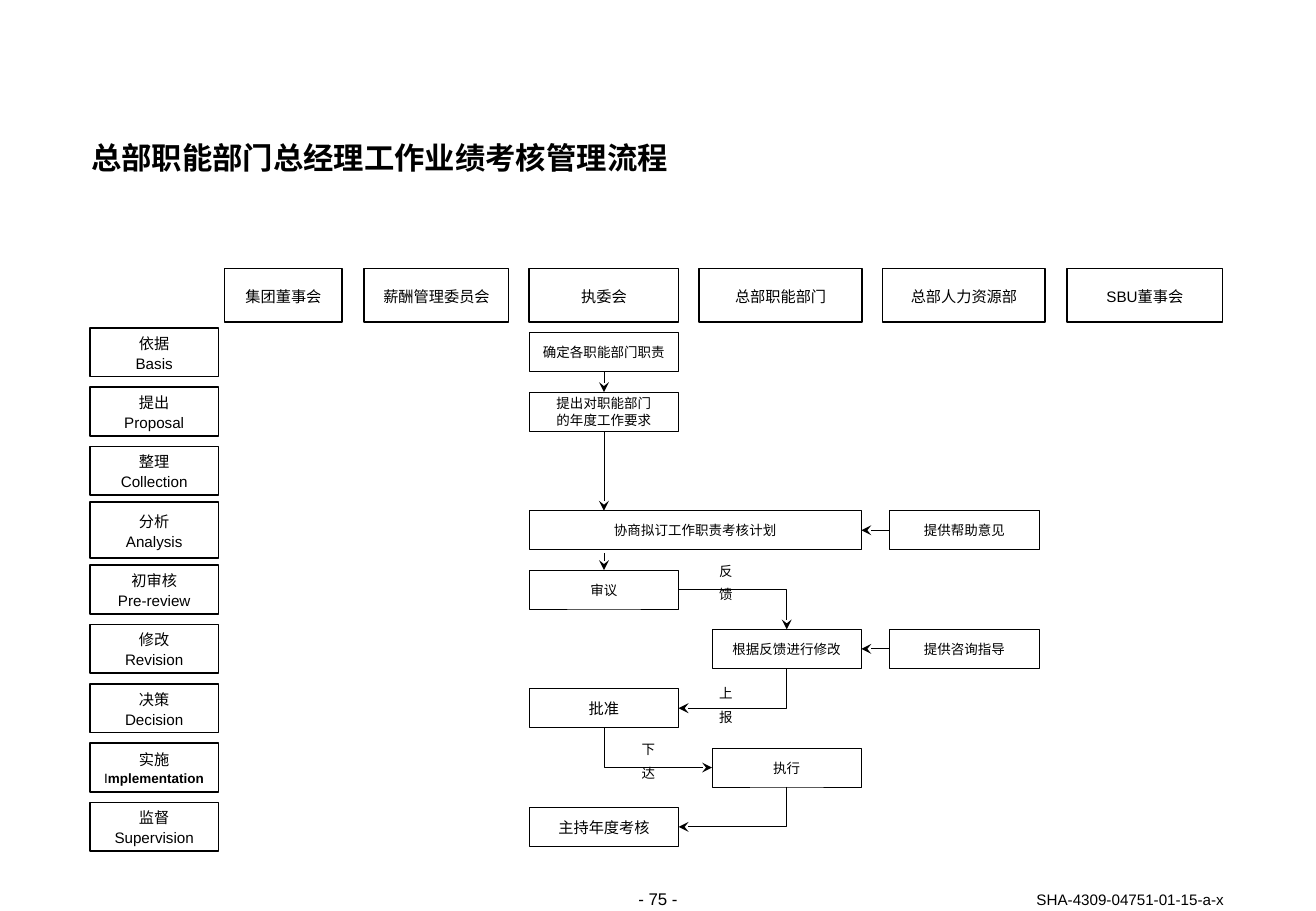
from lxml.etree import SubElement
from pptx import Presentation
from pptx.dml.color import RGBColor
from pptx.enum.shapes import MSO_CONNECTOR, MSO_SHAPE
from pptx.enum.text import MSO_ANCHOR, PP_ALIGN
from pptx.oxml.ns import qn
from pptx.util import Inches, Pt

INK = {"black": "000000", "white": "FFFFFF"}
FONT = "Arial"
PITCH = 0.4885
TOP, LEFT, BOTTOM, RIGHT = range(4)

HEADS = [
    ("集团董事会", 1.85, 0.97),
    ("薪酬管理委员会", 3, 1.19),
    ("执委会", 4.36, 1.23),
    ("总部职能部门", 5.76, 1.34),
    ("总部人力资源部", 7.27, 1.34),
    ("SBU董事会", 8.79, 1.28),
]
STAGES = [
    "依据\nBasis", "提出\nProposal", "整理\nCollection",
    "分析\nAnalysis", "初审核\nPre-review", "修改\nRevision",
    "决策\nDecision", "实施\nImplementation", "监督\nSupervision",
]
LANES = [0, 1.505, 2.97]
STEPS = {
    "duty": ("确定各职能部门职责", 0, 0, 1.23, 8),
    "demand": ("提出对职能部门\n的年度工作要求", 0, 1, 1.23, 8),
    "plan": ("协商拟订工作职责考核计划", 0, 3, 2.735, 8),
    "help": ("提供帮助意见", 2, 3, 1.23, 8),
    "review": ("审议", 0, 4, 1.23, 8),
    "advice": ("提供咨询指导", 2, 5, 1.23, 8),
    "revise": ("根据反馈进行修改", 1, 5, 1.23, 8),
    "approve": ("批准", 0, 6, 1.23, 9),
    "act": ("执行", 1, 7, 1.23, 8),
    "assess": ("主持年度考核", 0, 8, 1.23, 9),
}
LINKS = [
    ("duty", BOTTOM, "demand", TOP),
    ("help", LEFT, "plan", RIGHT),
    ("advice", LEFT, "revise", RIGHT),
    ("review", RIGHT, "revise", TOP),
    ("revise", BOTTOM, "approve", RIGHT),
    ("approve", BOTTOM, "act", LEFT),
    ("act", BOTTOM, "assess", RIGHT),
]
LABELS = [("反馈", 1.51, 1.93), ("上报", 1.51, 2.94), ("下达", 0.87, 3.4)]


def tint(name):
    """Return the named colour."""
    return RGBColor.from_string(INK[name])


def write(frame, text, size, align=PP_ALIGN.CENTER, gap=1.0,
          anchor=MSO_ANCHOR.MIDDLE, pad=(0, 0), bold=False, wrap=True):
    """Fill a text frame with evenly styled lines."""
    frame.word_wrap = wrap
    frame.vertical_anchor = anchor
    frame.margin_left = frame.margin_right = Inches(pad[0])
    frame.margin_top = frame.margin_bottom = Inches(pad[1])
    frame.text = text
    for para in frame.paragraphs:
        para.alignment = align
        para.line_spacing = gap
        font = para.font
        font.name, font.size, font.bold = FONT, Pt(size), bold
        font.color.rgb = tint("black")


def block(slide, box, text, size, line, fill=None, **style):
    """Draw one outlined rectangle with its text."""
    shape = slide.shapes.add_shape(MSO_SHAPE.RECTANGLE, *map(Inches, box))
    shape.shadow.inherit = False
    shape.line.width = Pt(line)
    shape.line.color.rgb = tint("black")
    if fill:
        shape.fill.solid()
        shape.fill.fore_color.rgb = tint(fill)
    else:
        shape.fill.background()
    write(shape.text_frame, text, size, **style)
    return shape


def note(slide, box, text, size, **style):
    """Place one free line of text."""
    area = slide.shapes.add_textbox(*map(Inches, box))
    write(area.text_frame, text, size, **style)


def port(shape, side):
    """Return the middle of one side of a shape."""
    x = shape.left + (0, 0, 0, shape.width)[side]
    y = shape.top + (0, 0, shape.height, 0)[side]
    if side in (TOP, BOTTOM):
        return x + shape.width // 2, y
    return x, y + shape.height // 2


def arrow(slide, start, end, kind=MSO_CONNECTOR.STRAIGHT):
    """Draw a thin connector with a stealth head."""
    line = slide.shapes.add_connector(kind, *start, *end)
    line.line.width = Pt(0.5)
    line.line.color.rgb = tint("black")
    SubElement(line.line._get_or_add_ln(), qn("a:tailEnd"), type="stealth")
    SubElement(line._element.spPr, qn("a:effectLst"))
    return line


def bend(line, start, end, down):
    """Give a connector a single corner, leaving downwards or sideways."""
    props = line._element.spPr
    props.find(qn("a:prstGeom")).set("prst", "bentConnector2")
    if not down:
        return
    wide, high = abs(end[0] - start[0]), abs(end[1] - start[1])
    line.left = (start[0] + end[0] - high) // 2
    line.top = (start[1] + end[1] - wide) // 2
    line.width, line.height = high, wide
    right = end[0] > start[0]
    props.xfrm.set("rot", "16200000" if right else "5400000")
    props.xfrm.set("flipH", "1" if right else "0")


def link(slide, first, out, last, into):
    """Join two steps by a straight or bent arrow."""
    start, end = port(first, out), port(last, into)
    bent = (out + into) % 2
    kind = MSO_CONNECTOR.ELBOW if bent else MSO_CONNECTOR.STRAIGHT
    line = arrow(slide, start, end, kind)
    line.begin_connect(first, out)
    line.end_connect(last, into)
    if bent:
        bend(line, start, end, out == BOTTOM)


def heads(slide, top, high):
    """Draw the row of departments."""
    for text, left, wide in HEADS:
        block(slide, (left, top, wide, high), text, 9, 1, gap=1.1)


def stages(slide, left, top, wide, high):
    """Draw the column of stages."""
    for row, text in enumerate(STAGES):
        grow = 0.03 if "Analysis" in text else 0
        box = left, top + row * PITCH - grow, wide, high + 2 * grow
        shape = block(slide, box, text, 9, 1, gap=1.1, pad=(0.1, 0.05))
        if "Implementation" in text:
            para = shape.text_frame.paragraphs[1]
            para.font.size = Pt(8)
            para.runs[0].text = "I"
            rest = para.add_run()
            rest.text = "mplementation"
            rest.font.bold = True


def flow(slide, left, top, high):
    """Draw the steps, their arrows and the arrow labels."""
    made = {}
    for key, (text, lane, row, wide, size) in STEPS.items():
        box = left + LANES[lane], top + row * PITCH, wide, high
        made[key] = block(slide, box, text, size, 0.5, "white")
    for first, out, last, into in LINKS:
        link(slide, made[first], out, made[last], into)
    start = port(made["demand"], BOTTOM)
    drop = arrow(slide, start, (start[0], made["plan"].top))
    drop.begin_connect(made["demand"], BOTTOM)
    end = port(made["review"], TOP)
    short = arrow(slide, (end[0], end[1] - Inches(0.14)), end)
    short.end_connect(made["review"], TOP)
    for text, x, y in LABELS:
        box = left + x, top + y, 0.22, 0.19
        note(slide, box, text, 8, gap=Pt(14), wrap=False)


def title(slide, box, text):
    """Move and format the title placeholder."""
    head = slide.shapes.title
    head.left, head.top, head.width, head.height = map(Inches, box)
    write(head.text_frame, text, 18, PP_ALIGN.LEFT, Pt(20),
          MSO_ANCHOR.TOP, bold=True)


def main():
    """Build and save the slide."""
    deck = Presentation()
    deck.slide_width, deck.slide_height = Inches(10.84), Inches(7.5)
    slide = deck.slides.add_slide(deck.slide_layouts[5])
    title(slide, (0.75, 1.17, 9.33, 0.28), "总部职能部门总经理工作业绩考核管理流程")
    heads(slide, 2.21, 0.44)
    stages(slide, 0.74, 2.7, 1.06, 0.4)
    flow(slide, 4.36, 2.74, 0.32)
    note(slide, (4.85, 7.32, 1.14, 0.17), "- 75 -", 10, anchor=MSO_ANCHOR.TOP)
    note(slide, (7.64, 7.33, 2.44, 0.15), "SHA-4309-04751-01-15-a-x", 9,
         align=PP_ALIGN.RIGHT, gap=Pt(11), anchor=MSO_ANCHOR.BOTTOM)
    deck.save("out.pptx")


if __name__ == "__main__":
    main()
